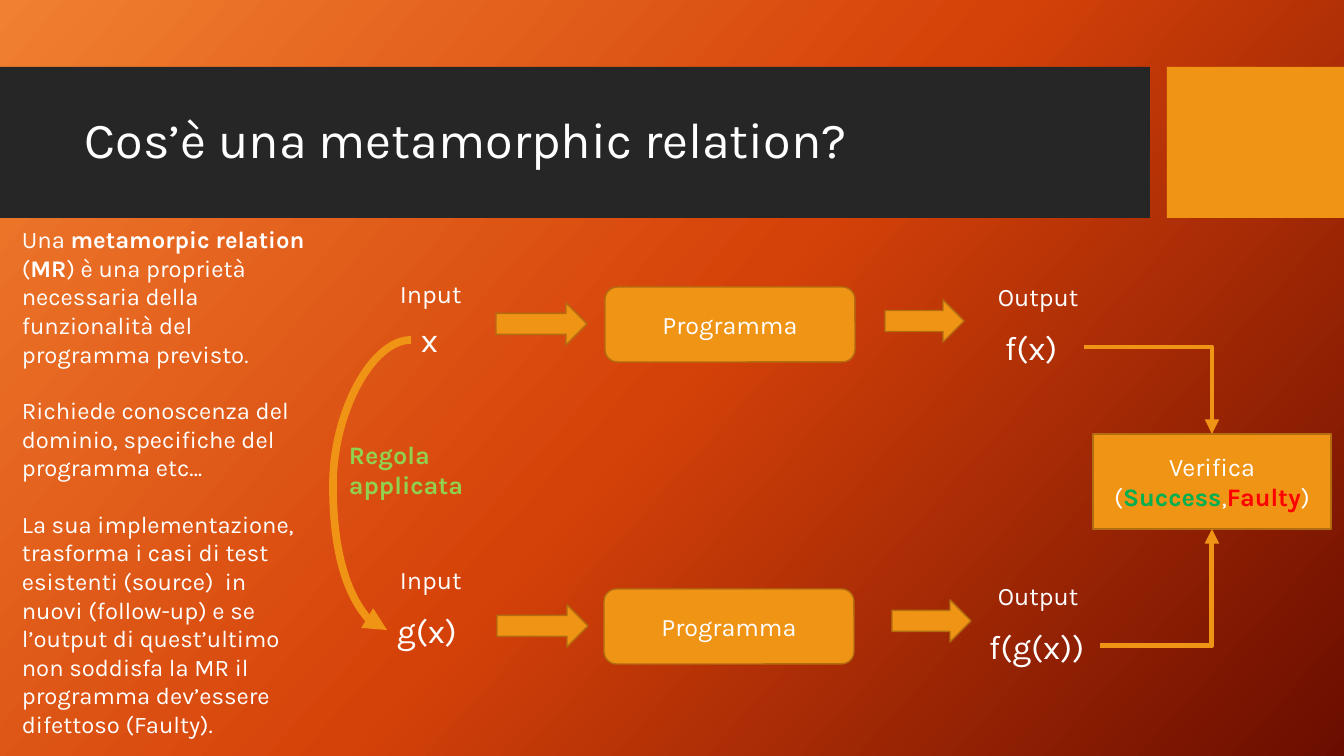
from copy import deepcopy

from lxml import etree
from pptx import Presentation
from pptx import util as u
from pptx.dml.color import RGBColor
from pptx.enum import shapes, text
from pptx.oxml.ns import qn

WHITE = RGBColor(0xFF, 0xFF, 0xFF)
CHARCOAL = RGBColor(0x26, 0x26, 0x26)
AMBER = RGBColor(0xF0, 0x94, 0x15)
BROWN = RGBColor(0xB2, 0x6D, 0x10)
LIME = RGBColor(0x92, 0xD0, 0x50)
GREEN = RGBColor(0x00, 0xB0, 0x50)
RED = RGBColor(0xFF, 0x00, 0x00)
BACKDROP = [
    (0, RGBColor(0xF1, 0x80, 0x31)),
    (0.5, RGBColor(0xD5, 0x42, 0x09)),
    (1, RGBColor(0x6A, 0x0D, 0x00)),
]

SHAPE = shapes.MSO_SHAPE
CONNECTOR = shapes.MSO_CONNECTOR
MIDDLE = text.MSO_ANCHOR.MIDDLE
CENTER = text.PP_ALIGN.CENTER
BOLD = {"bold": True}


def px(length):
    return u.Emu(round(length * 914400 / 100.8))


def apply(target, values):
    for name, value in values.items():
        setattr(target, name, value)


class Painter:
    def __init__(self, page, font="Karla"):
        self.page = page
        self.font = font

    def backdrop(self, stops, angle):
        """Fill the page with a gradient; angle is in degrees, clockwise."""
        fill = self.page.background.fill
        fill.gradient()
        fill.gradient_angle = 360 - angle
        stop_list = self.page._element.find(".//" + qn("a:gsLst"))
        stop_list.insert(1, deepcopy(stop_list[0]))
        for stop, (position, color) in zip(fill.gradient_stops, stops):
            apply(stop, {"position": position})
            stop.color.rgb = color

    def add_words(self, box, paragraphs, size, para_format=None):
        """Each paragraph is a list of (words, font format) pairs."""
        frame = box.text_frame
        for index, spans in enumerate(paragraphs):
            para = frame.add_paragraph() if index else frame.paragraphs[0]
            apply(para, para_format or {})
            if index == 0:
                para.space_before = u.Pt(0)
            for words, look in spans:
                span = para.add_run()
                span.text = words
                look = {"name": self.font, "size": u.Pt(size), **look}
                span.font.color.rgb = look.pop("color", WHITE)
                apply(span.font, look)

    def label(self, area, paragraphs, size=18, para_format=None, frame_format=None):
        box = self.page.shapes.add_textbox(*map(px, area))
        frame_format = frame_format or {"auto_size": text.MSO_AUTO_SIZE.SHAPE_TO_FIT_TEXT}
        apply(box.text_frame, {"word_wrap": True, **frame_format})
        self.add_words(box, paragraphs, size, para_format)

    def block(self, kind, area, fill=AMBER, line=BROWN, paragraphs=()):
        box = self.page.shapes.add_shape(kind, *map(px, area))
        box.shadow.inherit = False
        box.fill.solid()
        box.fill.fore_color.rgb = fill
        if line is None:
            box.line.fill.background()
        else:
            box.line.color.rgb = line
            box.line.width = u.Pt(1)
        apply(box.text_frame, {"word_wrap": True, "vertical_anchor": MIDDLE})
        self.add_words(box, paragraphs, 18, {"alignment": CENTER})

    def link(self, kind, preset, ends, width, bend=None):
        """Draw an arrow; bend is the offset of the turn, as a share of the width."""
        line = self.page.shapes.add_connector(kind, *map(px, ends))
        line.line.color.rgb = AMBER
        line.line.width = u.Pt(width)
        properties = line._element.spPr
        geometry = properties.find(qn("a:prstGeom"))
        geometry.set("prst", preset)
        if bend is not None:
            guides = geometry.find(qn("a:avLst"))
            etree.SubElement(guides, qn("a:gd"), name="adj1", fmla=f"val {round(bend * 100000)}")
        etree.SubElement(properties.find(qn("a:ln")), qn("a:tailEnd"), type="triangle")
        etree.SubElement(properties, qn("a:effectLst"))


def main():
    deck = Presentation()
    apply(deck, {"slide_width": px(1344), "slide_height": px(756)})
    page = deck.slides.add_slide(deck.slide_layouts[6])
    painter = Painter(page)
    painter.backdrop(BACKDROP, 42)

    painter.block(SHAPE.RECTANGLE, (0, 67, 1150, 151), CHARCOAL, None)
    painter.block(SHAPE.RECTANGLE, (1167, 67, 177, 151), AMBER, None)
    painter.label((75, 83, 1059, 119), [[("Cos’è una metamorphic relation?", {})]], 36,
                  {"line_spacing": 0.9}, {"vertical_anchor": MIDDLE})

    for words, size, area in [
        ("Input", 18, (390, 273, 89, 40)),
        ("x", 24, (411, 314, 34, 50)),
        ("Output", 18, (988, 276, 112, 40)),
        ("f(x)", 24, (995, 322, 89, 50)),
        ("Input", 18, (390, 559, 89, 40)),
        ("g(x)", 24, (387, 605, 88, 50)),
        ("Output", 18, (988, 575, 112, 40)),
        ("f(g(x))", 24, (979, 621, 120, 50)),
    ]:
        painter.label(area, [[(words, {})]], size)

    painter.link(CONNECTOR.CURVE, "curvedConnector3", (411, 340, 387, 630), 5.5, 3.25)
    painter.label((339, 434, 203, 72), [[("Regola applicata", {"color": LIME, **BOLD})]])

    for left, top in [(605, 287), (604, 589)]:
        painter.block(SHAPE.ROUNDED_RECTANGLE, (left, top, 250, 75),
                      paragraphs=[[("Programma", {})]])
    for left, top, width in [(496, 303, 91), (497, 605, 91), (885, 300, 79), (892, 600, 79)]:
        painter.block(SHAPE.RIGHT_ARROW, (left, top, width, 42))

    painter.block(SHAPE.RECTANGLE, (1093, 434, 238, 95), paragraphs=[
        [("Verifica", {})],
        [("(", {}), ("Success", {"color": GREEN, **BOLD}), (",", {}),
         ("Faulty", {"color": RED, **BOLD}), (")", {})],
    ])
    for ends in [(1084, 347, 1212, 434), (1100, 646, 1212, 529)]:
        painter.link(CONNECTOR.ELBOW, "bentConnector2", ends, 3.5)

    painter.label((12, 220, 304, 529), [
        [("Una ", {}), ("metamorpic relation ", BOLD), ("(", {}), ("MR", BOLD),
         (") è una proprietà necessaria della funzionalità del programma previsto.", {})],
        [("Richiede conoscenza del dominio, specifiche del programma etc…", {})],
        [("La sua implementazione, trasforma i casi di test esistenti (source)  in nuovi "
          "(follow-up) e se l’output di quest’ultimo non soddisfa la MR il programma "
          "dev’essere difettoso (Faulty).", {})],
    ], 17, {"space_before": u.Pt(20)})

    deck.save("out.pptx")


if __name__ == "__main__":
    main()
